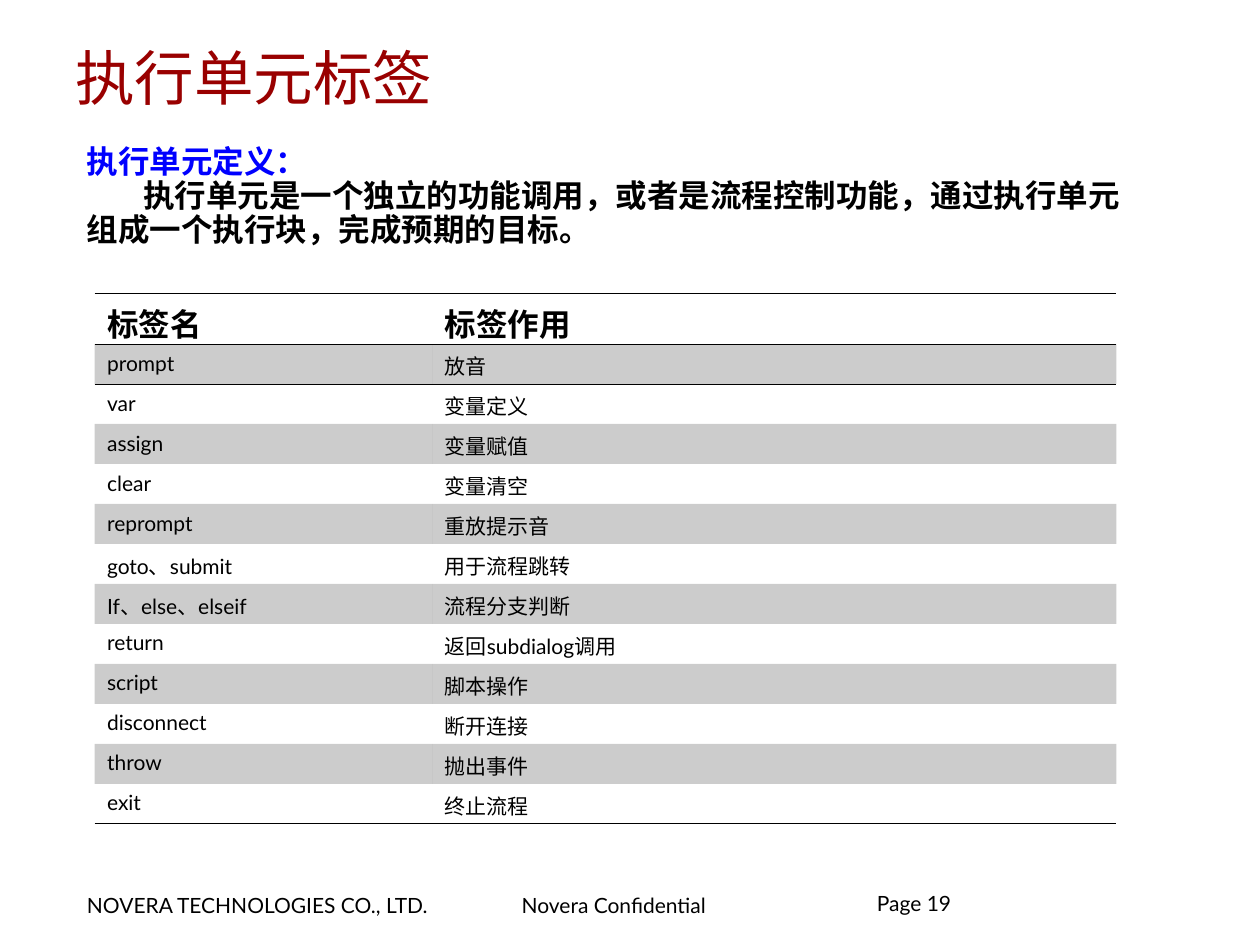
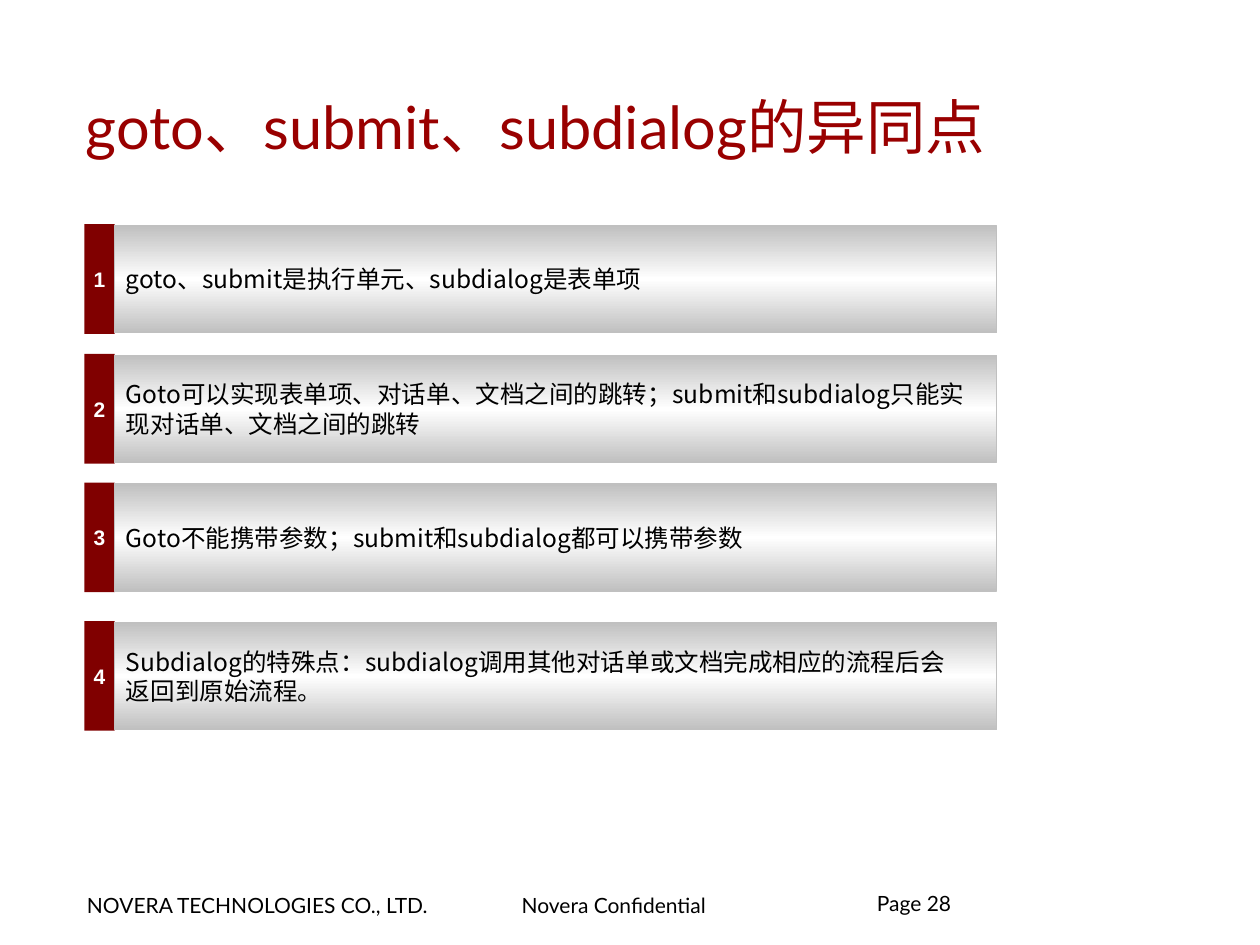
from copy import deepcopy

from lxml.etree import SubElement
from pptx import Presentation
from pptx.dml.color import RGBColor
from pptx.enum.shapes import MSO_SHAPE
from pptx.enum.text import MSO_ANCHOR, PP_ALIGN
from pptx.oxml.ns import qn
from pptx.util import Inches, Pt

BLACK = RGBColor(0x00, 0x00, 0x00)
WHITE = RGBColor(0xFF, 0xFF, 0xFF)
TITLE_RED = RGBColor(0x99, 0x00, 0x00)
BADGE_RED = RGBColor(0x80, 0x00, 0x00)
HEADING_BLUE = RGBColor(0x00, 0x00, 0xFF)
SILVER = RGBColor(0xC0, 0xC0, 0xC0)

LATIN_FONT = "Lato"
CJK_FONT = "Noto Sans CJK SC"
BADGE_FONT = "Arial"
NO_GRID_STYLE = "{2D5ABB26-0587-4C30-8999-92F81FD0307C}"
NARROW_INSETS = (0.09, 0.04)
WIDE_INSETS = (0.1, 0.05)
NO_INSETS = (0, 0)

COMPANY = "NOVERA TECHNOLOGIES CO., LTD."
SECRECY = "Novera Confidential"

TAGS_TITLE = "执行单元标签"
DEFINITION = [
    "执行单元定义：",
    "执行单元是一个独立的功能调用，或者是流程控制功能，通过执行单元组成一个执行块，完成预期的目标。",
]
TAGS = [
    ("标签名", "标签作用"),
    ("prompt", "放音"),
    ("var", "变量定义"),
    ("assign", "变量赋值"),
    ("clear", "变量清空"),
    ("reprompt", "重放提示音"),
    ("goto、submit", "用于流程跳转"),
    ("If、else、elseif", "流程分支判断"),
    ("return", "返回subdialog调用"),
    ("script", "脚本操作"),
    ("disconnect", "断开连接"),
    ("throw", "抛出事件"),
    ("exit", "终止流程"),
]
TAG_COLUMNS = (2.68, 5.43)
TABLE_HEIGHT = 4.21
HEADER_HEIGHT = 0.4

COMPARISON_TITLE = "goto、submit、subdialog的异同点"
DIFFERENCES = [
    (1.78, ["goto、submit是执行单元、subdialog是表单项"]),
    (2.81, ["Goto可以实现表单项、对话单、文档之间的跳转；submit和subdialog只能实",
            "现对话单、文档之间的跳转"]),
    (3.83, ["Goto不能携带参数；submit和subdialog都可以携带参数"]),
    (4.93, ["Subdialog的特殊点：subdialog调用其他对话单或文档完成相应的流程后会",
            "返回到原始流程。"]),
]
BADGE_LEFT, BADGE_WIDTH, BADGE_HEIGHT = 0.67, 0.24, 0.87
BAR_WIDTH, BAR_HEIGHT = 7, 0.85


def put_text(frame, lines, size=12, color=BLACK, font=LATIN_FONT, bold=False,
             align=PP_ALIGN.LEFT, anchor=MSO_ANCHOR.TOP, insets=NARROW_INSETS,
             wrap=True, spacing=None):
    frame.word_wrap = wrap
    frame.vertical_anchor = anchor
    frame.margin_left = frame.margin_right = Inches(insets[0])
    frame.margin_top = frame.margin_bottom = Inches(insets[1])
    for index, line in enumerate(lines):
        paragraph = frame.add_paragraph() if index else frame.paragraphs[0]
        paragraph.alignment = align
        paragraph.line_spacing = spacing
        run = paragraph.add_run()
        run.text = line
        run.font.size = Pt(size)
        run.font.bold = bold
        run.font.color.rgb = color
        run.font.name = font
        SubElement(run.font._element, qn("a:ea"), typeface=CJK_FONT)


def add_text(slide, at, lines, **style):
    box = slide.shapes.add_textbox(*map(Inches, at))
    put_text(box.text_frame, lines, **style)
    return box.text_frame


def add_page(deck, title, title_left, title_top, number):
    slide = deck.slides.add_slide(deck.slide_layouts[6])
    add_text(slide, (0.6, 7.04, 3.09, 0.29), [COMPANY], wrap=False)
    add_text(slide, (4.05, 7.04, 2.18, 0.29), [SECRECY], wrap=False)
    add_text(slide, (6.96, 7.1, 2.29, 0.3), [f"Page {number}"],
             insets=NO_INSETS, spacing=0.85)
    add_text(slide, (title_left, title_top, 8.47, 0.95), [title], size=34,
             color=TITLE_RED, anchor=MSO_ANCHOR.MIDDLE)
    return slide


def draw_rule(cell, side):
    rule = SubElement(cell._tc.get_or_add_tcPr(), qn(side), w=str(Pt(0.45)))
    SubElement(SubElement(rule, qn("a:solidFill")), qn("a:srgbClr"), val=str(BLACK))


def shade(cell):
    cell.fill.solid()
    cell.fill.fore_color.rgb = BLACK
    tint = cell._tc.tcPr.find(qn("a:solidFill")).find(qn("a:srgbClr"))
    SubElement(tint, qn("a:alpha"), val="20000")


def add_tag_table(slide):
    table = slide.shapes.add_table(
        len(TAGS), len(TAG_COLUMNS), Inches(0.75), Inches(2.33),
        Inches(sum(TAG_COLUMNS)), Inches(TABLE_HEIGHT)).table
    table.horz_banding = False
    table._tbl.tblPr.find(qn("a:tableStyleId")).text = NO_GRID_STYLE
    for column, width in zip(table.columns, TAG_COLUMNS):
        column.width = Inches(width)
    tag_height = (TABLE_HEIGHT - HEADER_HEIGHT) / (len(TAGS) - 1)
    for row, texts in enumerate(TAGS):
        header = row == 0
        table.rows[row].height = Inches(HEADER_HEIGHT if header else tag_height)
        for column, text in enumerate(texts):
            cell = table.cell(row, column)
            put_text(cell.text_frame, [text], size=18 if header else 12, bold=header)
            cell.margin_left = cell.margin_right = Inches(WIDE_INSETS[0])
            cell.margin_top = cell.margin_bottom = Inches(WIDE_INSETS[1])
            cell.vertical_anchor = MSO_ANCHOR.TOP
            if row in (0, 1):
                draw_rule(cell, "a:lnT")
            if row in (0, len(TAGS) - 1):
                draw_rule(cell, "a:lnB")
            if row % 2:
                shade(cell)
            else:
                cell.fill.background()


def add_block(shapes, at):
    block = shapes.add_shape(MSO_SHAPE.RECTANGLE, *map(Inches, at))
    block.shadow.inherit = False
    return block


def fill_silver_sheen(bar):
    bar.fill.gradient()
    bar.fill.gradient_angle = 90
    stop_list = bar._element.spPr.find(qn("a:gradFill")).find(qn("a:gsLst"))
    stop_list.append(deepcopy(stop_list[0]))
    sheen = ((0, SILVER), (0.5, WHITE), (1, SILVER))
    for stop, (position, color) in zip(bar.fill.gradient_stops, sheen):
        stop.position = position
        stop.color.rgb = color


def add_difference(slide, number, top, lines):
    shapes = slide.shapes.add_group_shape().shapes
    badge = add_block(shapes, (BADGE_LEFT, top, BADGE_WIDTH, BADGE_HEIGHT))
    badge.fill.solid()
    badge.fill.fore_color.rgb = BADGE_RED
    badge.line.fill.background()
    put_text(badge.text_frame, [str(number)], color=WHITE, font=BADGE_FONT, bold=True,
             align=PP_ALIGN.CENTER, anchor=MSO_ANCHOR.MIDDLE, insets=NO_INSETS)

    bar_top = top + (BADGE_HEIGHT - BAR_HEIGHT) / 2
    bar = add_block(shapes, (BADGE_LEFT + BADGE_WIDTH, bar_top, BAR_WIDTH, BAR_HEIGHT))
    fill_silver_sheen(bar)
    bar.line.color.rgb = SILVER
    bar.line.width = Pt(0.75)
    put_text(bar.text_frame, lines, size=14, font=CJK_FONT,
             anchor=MSO_ANCHOR.MIDDLE, wrap=False)


def build_tags(deck):
    slide = add_page(deck, TAGS_TITLE, 0.51, 0.13, 19)
    definition = add_text(slide, (0.59, 1.11, 8.43, 1.2), DEFINITION, size=18,
                          bold=True, insets=WIDE_INSETS, spacing=0.9)
    heading, body = definition.paragraphs
    heading.runs[0].font.color.rgb = HEADING_BLUE
    body._p.get_or_add_pPr().set("indent", str(Inches(0.45)))
    add_tag_table(slide)


def build_comparison(deck):
    slide = add_page(deck, COMPARISON_TITLE, 0.59, 0.52, 28)
    for number, (top, lines) in enumerate(DIFFERENCES, start=1):
        add_difference(slide, number, top, lines)


def main():
    deck = Presentation()
    deck.slide_width, deck.slide_height = Inches(10), Inches(7.5)
    build_tags(deck)
    build_comparison(deck)
    deck.save("out.pptx")


if __name__ == "__main__":
    main()
